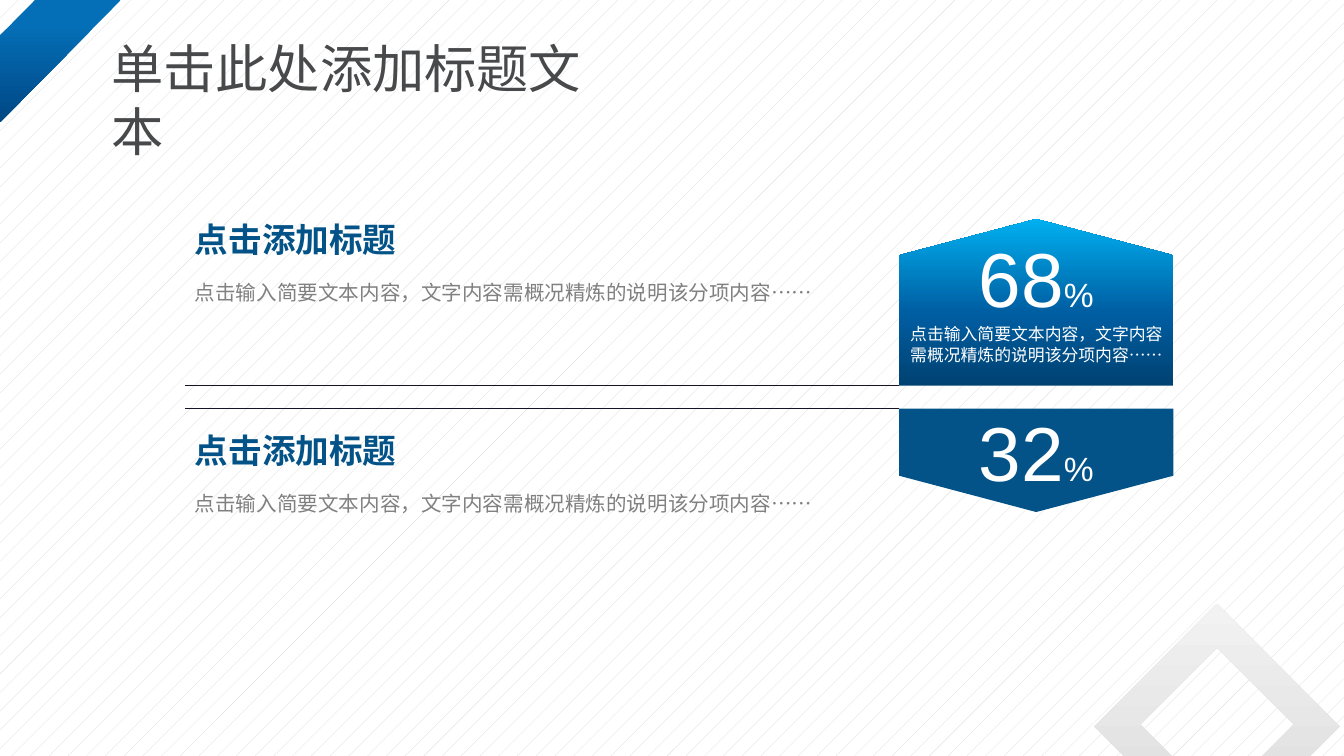
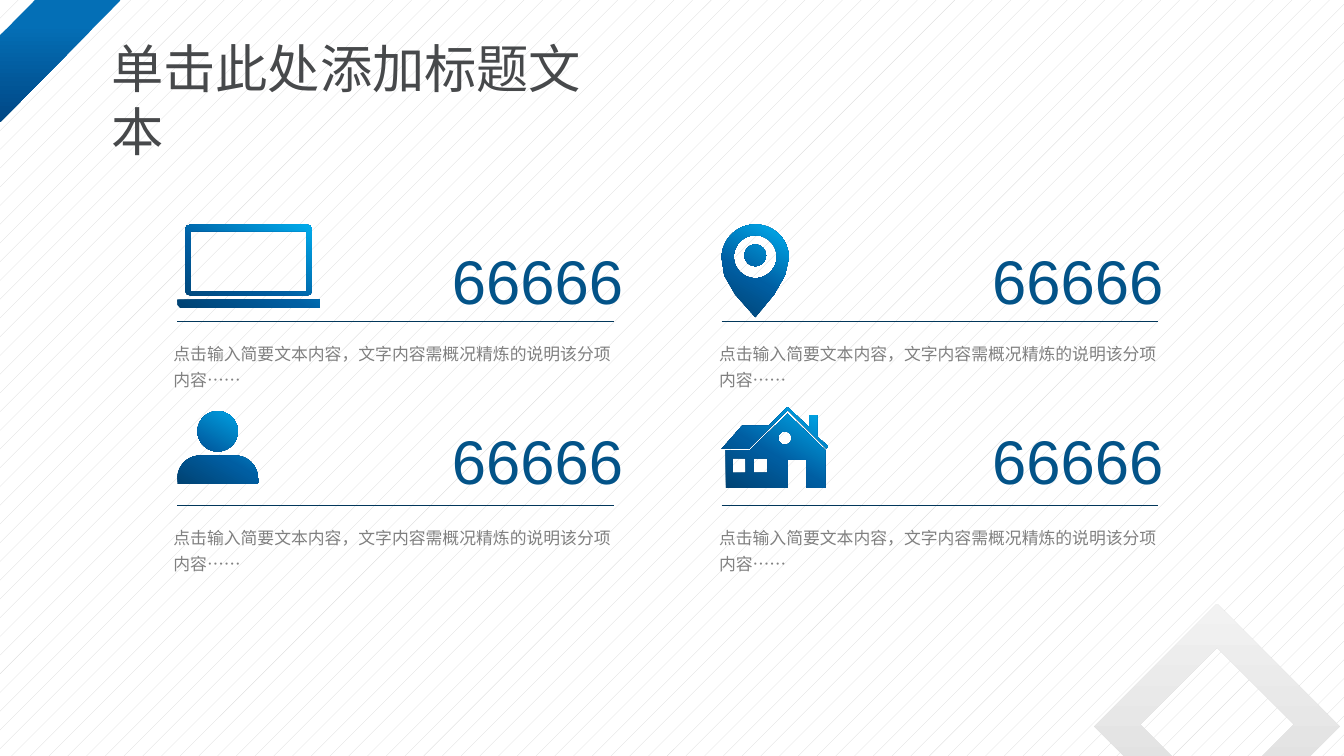
from copy import deepcopy
from math import cos, pi, sin

from lxml import etree
from pptx import Presentation
from pptx.dml.color import RGBColor
from pptx.enum.dml import MSO_PATTERN
from pptx.enum.shapes import MSO_CONNECTOR, MSO_SHAPE
from pptx.enum.text import MSO_ANCHOR, MSO_AUTO_SIZE, PP_ALIGN
from pptx.oxml.ns import qn
from pptx.util import Inches, Pt

DOTS = MSO_PATTERN.PERCENT_5
STRIPE = MSO_SHAPE.DIAGONAL_STRIPE
STRAIGHT = MSO_CONNECTOR.STRAIGHT
TOP, MIDDLE = MSO_ANCHOR.TOP, MSO_ANCHOR.MIDDLE
GROW = MSO_AUTO_SIZE.SHAPE_TO_FIT_TEXT
LEFT, CENTER = PP_ALIGN.LEFT, PP_ALIGN.CENTER

WHITE = RGBColor(0xFF, 0xFF, 0xFF)
PALE = RGBColor(0xF2, 0xF2, 0xF2)
SILVER = RGBColor(0xD9, 0xD9, 0xD9)
GRAY = RGBColor(0x80, 0x80, 0x80)
SLATE = RGBColor(0x47, 0x49, 0x4B)
INK = RGBColor(0x13, 0x14, 0x26)
NAVY = RGBColor(0x02, 0x37, 0x5B)
BLUE = RGBColor(0x03, 0x53, 0x88)
BAND = [(0.2, RGBColor(0x04, 0x6F, 0xB6)), (1, RGBColor(0x00, 0x47, 0x85))]
GLOW = [(0, RGBColor(0x00, 0x42, 0x72)), (0.44, RGBColor(0x00, 0x5E, 0xA2)),
        (1, RGBColor(0x00, 0xB0, 0xF0))]
FADE = [(0, SILVER), (1, PALE)]
FLAT = [(0, BLUE)]

SANS, CJK = "Arial", "Noto Sans CJK JP"
TITLE = "单击此处添加标题文本"
HEAD = "点击添加标题"
BODY = "点击输入简要文本内容，文字内容需概况精炼的说明该分项内容……"
RING = [(cos(i * pi / 24), sin(i * pi / 24)) for i in range(49)]


def shade(shape, stops, angle):
    """Fill a shape with one colour or a gradient, with no line or shadow."""
    shape.shadow.inherit = False
    shape.line.fill.background()
    if len(stops) == 1:
        shape.fill.solid()
        shape.fill.fore_color.rgb = stops[0][1]
        return
    shape.fill.gradient()
    shape.fill.gradient_angle = angle
    marks = shape._element.spPr.find(qn("a:gradFill")).find(qn("a:gsLst"))
    for _ in stops[2:]:
        marks.append(deepcopy(marks[0]))
    for mark, (place, color) in zip(shape.fill.gradient_stops, stops):
        mark.position = place
        mark.color.rgb = color


def draw(slide, loops, stops, angle):
    """Build one outline from closed loops of points in inches."""
    loops = [[(Inches(x), Inches(y)) for x, y in loop] for loop in loops]
    pen = slide.shapes.build_freeform(*loops[0][0])
    pen.add_line_segments(loops[0][1:], close=True)
    for loop in loops[1:]:
        pen.move_to(*loop[0])
        pen.add_line_segments(loop[1:], close=True)
    shape = pen.convert_to_shape()
    shade(shape, stops, angle)
    return shape


deck = Presentation()
deck.slide_width = Inches(10)
deck.slide_height = deck.slide_width * 9 // 16
share, facts = [deck.slides.add_slide(deck.slide_layouts[6]) for _ in range(2)]
rules = []  # slide, left, right, y, colour
texts = []  # slide, box, words, size, colour, font, bold, spacing, align

# Shared ground, corner diamond and corner band
for slide in (share, facts):
    ground = slide.background.fill
    ground.patterned()
    ground.pattern = DOTS
    ground.fore_color.rgb, ground.back_color.rgb = SILVER, WHITE
    frame = []
    for inset, side in ((0, 1.29), (0.23, 0.81)):
        x, y = 8.41 + inset, 4.76 + inset
        frame.append([(x, y), (x + side, y), (x + side, y + side), (x, y + side)])
    draw(slide, frame, FADE, 135).rotation = 45
    band = slide.shapes.add_shape(STRIPE, 0, 0, Inches(0.9), Inches(0.91))
    band.adjustments[0] = 0.29
    shade(band, BAND, 270)

# Slide 1: two percentage arrows with headings
x, mid, right = 6.69, 7.71, 8.73
arrows = [
    ([(x, 1.9), (mid, 1.63), (right, 1.9), (right, 2.87), (x, 2.87)],
     GLOW, "68", BODY, 0.62, 2.87, 1.65),
    ([(x, 3.04), (right, 3.04), (right, 3.54), (mid, 3.81), (x, 3.54)],
     FLAT, "32", "", 0.5, 3.04, 3.22),
]
for loop, stops, value, note, inset, edge, top in arrows:
    frame = draw(share, [loop], stops, 90).text_frame
    frame.word_wrap = True
    frame.vertical_anchor = TOP
    frame.margin_left = frame.margin_right = Inches(0.07)
    frame.margin_top, frame.margin_bottom = Inches(inset), Inches(0.04)
    lines = [[(value, 41), ("%", 18)]] + ([[(note, 9)]] if note else [])
    for i, line in enumerate(lines):
        para = frame.add_paragraph() if i else frame.paragraphs[0]
        para.alignment = CENTER
        para.line_spacing = Pt(11.2)
        para.font.name = SANS
        para.font.color.rgb = WHITE
        for words, size in line:
            run = para.add_run()
            run.text = words
            run.font.size = Pt(size)
    rules.append((share, x, 1.38, edge, INK))
    texts += [
        (share, (1.38, top, 2.29, 0.33), HEAD, 18, BLUE, SANS, True, 0.8, LEFT),
        (share, (1.38, top + 0.34, 4.9, 0.32), BODY, 11, GRAY, SANS, False, 1.3, LEFT),
    ]

# Slide 2: icons as straight-edged loops plus discs (x, y, radius)
laptop = [
    [(1.32, 2.23), (2.38, 2.23), (2.38, 2.29), (1.34, 2.29), (1.32, 2.27)],
    [(1.38, 1.7), (1.39, 1.68), (1.42, 1.67), (2.28, 1.67), (2.31, 1.68), (2.32, 1.7),
     (2.32, 2.17), (2.31, 2.19), (2.28, 2.2), (1.42, 2.2), (1.39, 2.19), (1.38, 2.17)],
    [(1.42, 1.72), (2.28, 1.72), (2.28, 2.17), (1.42, 2.17)],
]
drop = [(5.62 + 0.25 * c, 1.92 + 0.25 * s) for c, s in RING[24:]]
drop += [(5.84, 2.05), (5.76, 2.19), (5.62, 2.36), (5.47, 2.19), (5.39, 2.05)]
torso = [(1.32, 3.6)]
torso += [(1.49 + 0.17 * c, 3.56 + 0.17 * s) for c, s in RING[24:37]]
torso += [(1.75 + 0.17 * c, 3.56 + 0.17 * s) for c, s in RING[36:]] + [(1.92, 3.6)]
house = [
    [(6.14, 3.35), (5.86, 3.08), (5.58, 3.35), (5.4, 3.35), (5.4, 3.63), (5.86, 3.63),
     (5.86, 3.42), (6, 3.42), (6, 3.63), (6.14, 3.63)],
    [(6.16, 3.32), (6.15, 3.34), (5.86, 3.05), (5.58, 3.33), (5.58, 3.34), (5.37, 3.34),
     (5.52, 3.17), (5.72, 3.17), (5.86, 3.03), (6.02, 3.18), (6.02, 3.09), (6.08, 3.09),
     (6.08, 3.25)],
]
house += [[(x, 3.41), (x + 0.1, 3.41), (x + 0.1, 3.52), (x, 3.52)] for x in (5.45, 5.61)]
icons = [
    (house, [(5.84, 3.26, 0.05)]),
    (laptop, []),
    ([torso], [(1.62, 3.21, 0.15)]),
    ([drop], [(5.62, 1.91, 0.16), (5.62, 1.9, 0.08)]),
]
for loops, discs in icons:
    rings = [[(x + r * c, y + r * s) for c, s in RING] for x, y, r in discs]
    draw(facts, loops + rings, GLOW, 60)

# Slide 2: figures, rules and captions in a two by two grid
for top, rise in ((2.39, 0.62), (3.76, 0.65)):
    for x, num, note in ((1.32, 3.28, 1.22), (5.37, 7.3, 5.28)):
        rules.append((facts, x, x + 3.25, top, NAVY))
        texts += [
            (facts, (num, top - rise, 1.44, 0.63), "66666", 33, BLUE, SANS, False, None,
             CENTER),
            (facts, (note, top + 0.08, 3.42, 0.47), BODY, 9, GRAY, SANS, False, 1.3,
             LEFT),
        ]

# Titles
for slide in (share, facts):
    texts.append((slide, (0.73, 0.22, 4.06, 0.57), TITLE, 28, SLATE, CJK, False, None,
                  LEFT))

# Place all rules
for slide, start, end, y, color in rules:
    rule = slide.shapes.add_connector(
        STRAIGHT, Inches(start), Inches(y), Inches(end), Inches(y))
    rule.line.color.rgb = color
    rule.line.width = Pt(0.5)
    etree.SubElement(rule._element.spPr, qn("a:effectLst"))

# Place all texts
for slide, box, words, size, color, face, bold, space, align in texts:
    frame = slide.shapes.add_textbox(*[Inches(n) for n in box]).text_frame
    frame.word_wrap = align == LEFT
    frame.auto_size = GROW
    frame.vertical_anchor = MIDDLE if align == CENTER else TOP
    if face == SANS:
        frame.margin_left = frame.margin_right = Inches(0.07)
        frame.margin_top = frame.margin_bottom = Inches(0.04)
    para = frame.paragraphs[0]
    para.text = words
    para.alignment = align
    para.line_spacing = space
    para.font.name, para.font.size, para.font.bold = face, Pt(size), bold
    para.font.color.rgb = color

deck.save("out.pptx")
